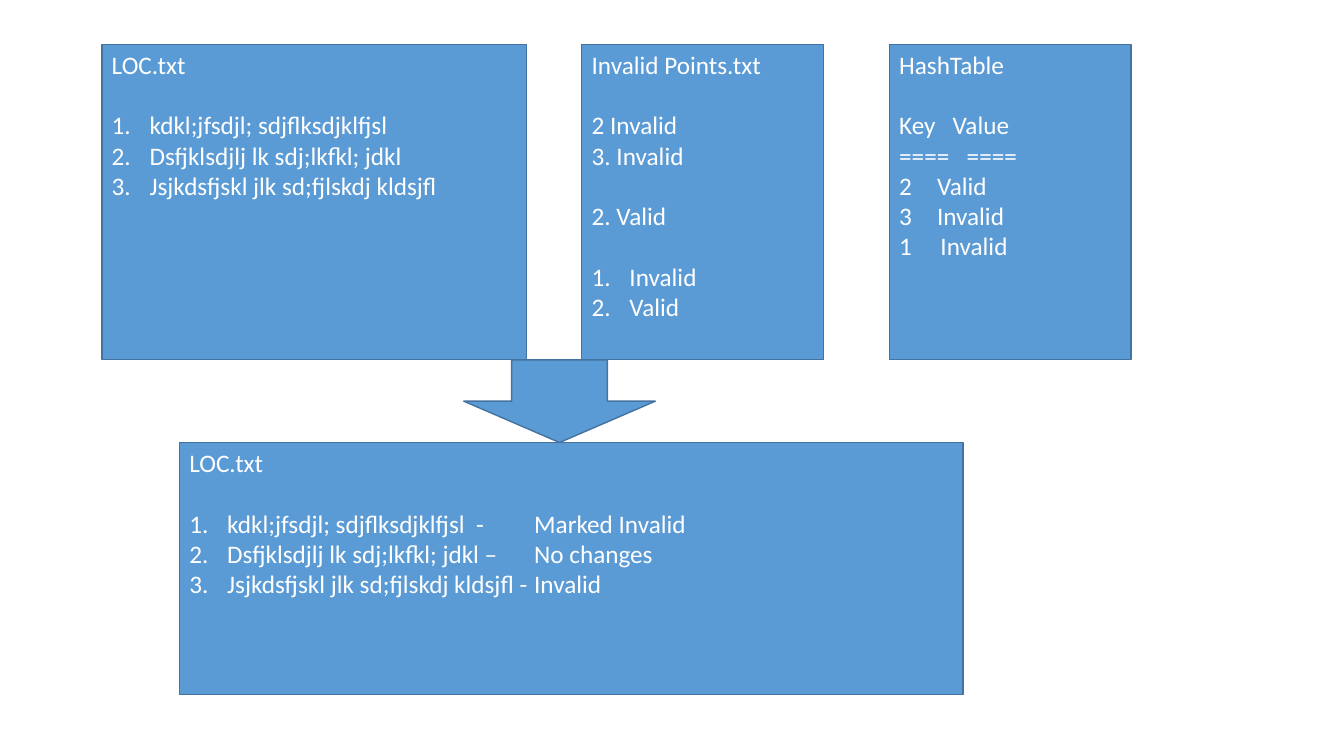
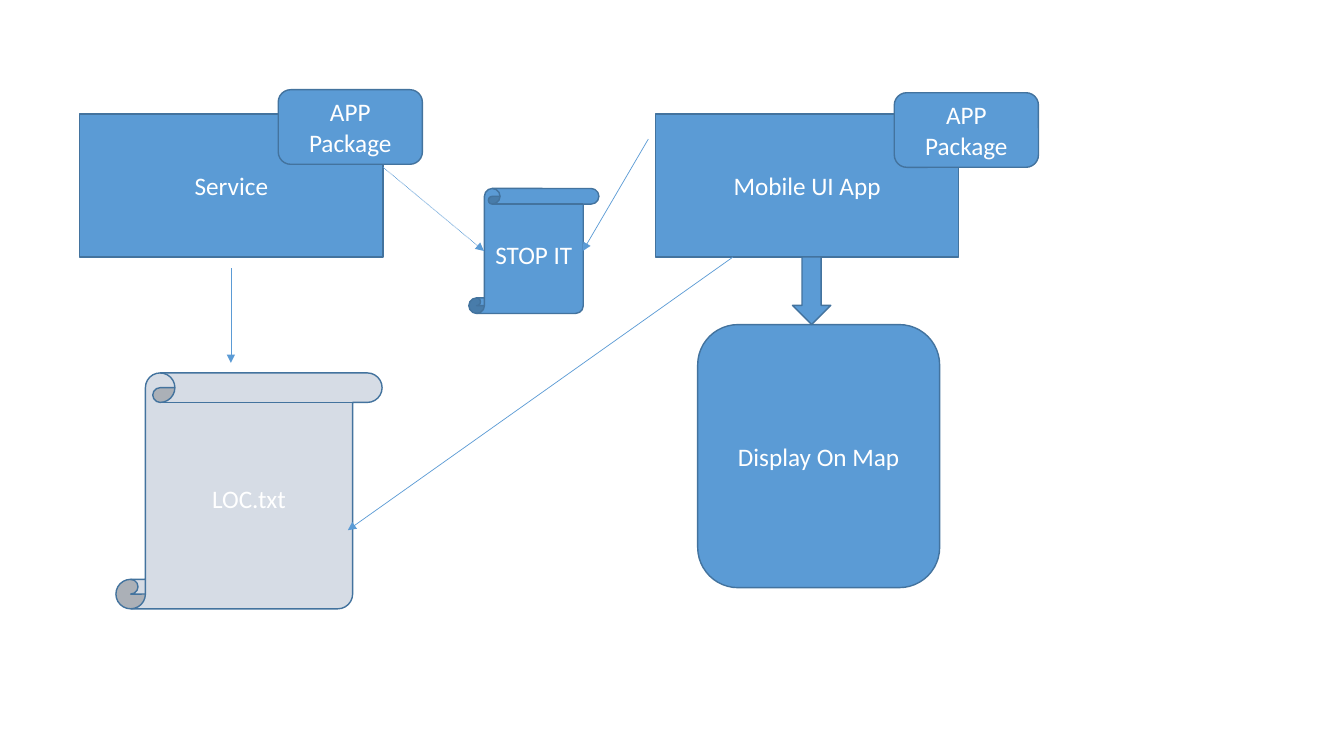
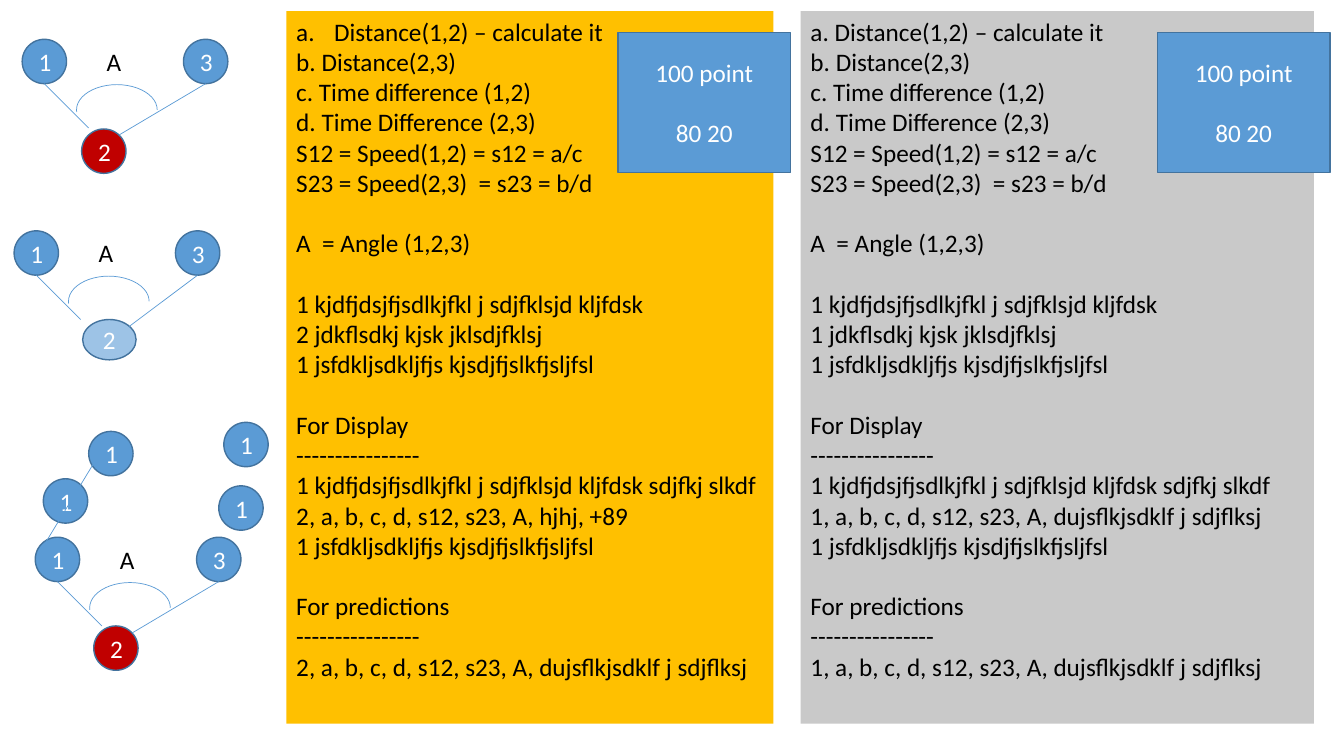
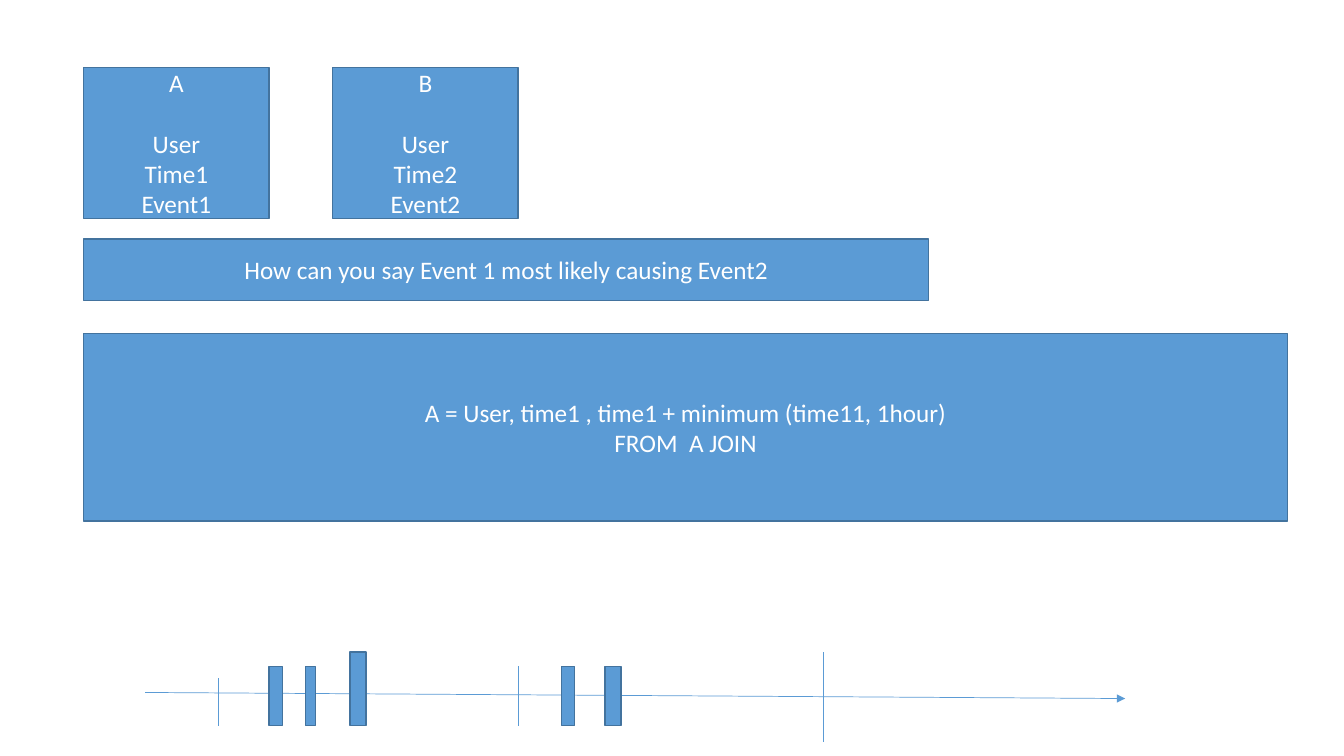
"""Build four sketch slides about location files, services, angles and events."""
from lxml.etree import SubElement
from pptx import Presentation
from pptx.dml.color import RGBColor as RGB
from pptx.enum.dml import MSO_LINE as DASH
from pptx.enum.shapes import MSO_CONNECTOR as CONN, MSO_SHAPE as GEO
from pptx.enum.text import MSO_ANCHOR as ANCHOR, PP_ALIGN as ALIGN
from pptx.oxml.ns import qn
from pptx.util import Inches, Pt

HUE = {"blue": "5B9BD5", "edge": "43739E", "white": "FFFFFF", "black": "000000",
       "mist": "D6DCE5", "red": "C00000", "sky": "9DC3E6", "gold": "FFC000",
       "grey": "C9C9C9"}
FONT = {"name": "Calibri", "size": Pt(18)}
MID = {"vertical_anchor": ANCHOR.MIDDLE, "word_wrap": True}
TOP = {"vertical_anchor": ANCHOR.TOP, "word_wrap": True}
MARK = {"1.": "arabicPeriod", "a.": "alphaLcPeriod", "2": "arabicPlain"}
STEP = Inches(0.1)
HANG = 3.75
LINE = Pt(21.6)


def put(page, kind, box, lines=(), fill="blue", edge="edge", ink="white", mid=True):
    """Add a shape, or a text box if kind is None; an empty line opens a gap."""
    place = [int(v * STEP) for v in box]
    if kind is None:
        shape = page.shapes.add_textbox(*place)
    else:
        shape = page.shapes.add_shape(kind, *place)
        shape.shadow.inherit = False
        if fill:
            shape.fill.solid()
            shape.fill.fore_color.rgb = RGB.from_string(HUE[fill])
        else:
            shape.fill.background()
        if edge:
            shape.line.color.rgb = RGB.from_string(HUE[edge])
            shape.line.width = Pt(1 if fill else 0.5)
        else:
            shape.line.fill.background()
    frame = shape.text_frame
    for key, val in (MID if mid else TOP).items():
        setattr(frame, key, val)
    para, gap = None, False
    for item in lines:
        if not item:
            gap = True
            continue
        text, mark, tab = (item, "", 0) if isinstance(item, str) else item
        para = frame.add_paragraph() if para else frame.paragraphs[0]
        para.alignment = ALIGN.CENTER if mid else ALIGN.LEFT
        para.space_before = LINE if gap else 0
        gap = False
        run = para.add_run()
        run.text = text
        for key, val in FONT.items():
            setattr(run.font, key, val)
        run.font.color.rgb = RGB.from_string(HUE[ink])
        props = para._p.get_or_add_pPr()
        if mark:
            props.set("marL", str(int(HANG * STEP)))
            props.set("indent", str(-int(HANG * STEP)))
            auto = SubElement(props, qn("a:buAutoNum"), type=MARK[mark])
            if mark == "2":
                auto.set("startAt", mark)
        if tab:
            stops = SubElement(props, qn("a:tabLst"))
            SubElement(stops, qn("a:tab"), pos=str(int(tab * STEP)), algn="l")
    return shape


def link(page, ends, head=False, dash=None):
    """Draw a thin straight line, with an arrowhead at its end if asked."""
    line = page.shapes.add_connector(CONN.STRAIGHT, *[int(v * STEP) for v in ends])
    line.line.color.rgb = RGB.from_string(HUE["blue"])
    line.line.width = Pt(0.5)
    if dash:
        line.line.dash_style = dash
    if head:
        SubElement(line.line._get_or_add_ln(), qn("a:tailEnd"), type="triangle")
    SubElement(line._element.spPr, qn("a:effectLst"))


deck = Presentation()
deck.slide_width, deck.slide_height = Inches(13.33), Inches(7.5)
files, flow, angle, event = [deck.slides.add_slide(deck.slide_layouts[6])
                             for _ in range(4)]

rows = [("kdkl;jfsdjl; sdjflksdjklfjsl", " -", "Marked Invalid"),
        ("Dsfjklsdjlj lk sdj;lkfkl; jdkl", "–", "No changes"),
        ("Jsjkdsfjskl jlk sd;fjlskdj kldsjfl", "-", "Invalid")]
before = ["LOC.txt", ""] + [(name, "1.", 0) for name, _, _ in rows]
after = ["LOC.txt", ""] + [(f"{name} {dash}\t{note}", "1.", 34.2)
                           for name, dash, note in rows]
points = ["Invalid Points.txt", "", "2 Invalid", "3. Invalid", "", "2. Valid", "",
          ("Invalid", "1.", 0), ("Valid", "1.", 0)]
table = ["HashTable", "", ("Key\tValue", "", 5.3), ("====\t====", "", 6.7),
         ("Valid", "2", 0), ("Invalid", "2", 0), ("1\tInvalid", "", 4.1)]
for left, wide, lines in [(10.1, 42.1, before), (57.7, 24, points), (88.2, 24, table)]:
    put(files, GEO.RECTANGLE, (left, 4.4, wide, 31.3), lines, mid=False)
put(files, GEO.DOWN_ARROW, (46, 35.7, 19, 8.2))
put(files, GEO.RECTANGLE, (17.8, 43.9, 77.7, 25), after, mid=False)

for left, name in [(7.9, "Service"), (65, "Mobile UI App")]:
    put(flow, GEO.RECTANGLE, (left, 11.3, 30.1, 14.2), [name])
put(flow, GEO.VERTICAL_SCROLL, (11.5, 37, 26.4, 23.4), ["LOC.txt"], "mist")
put(flow, GEO.ROUNDED_RECTANGLE, (69.2, 32.2, 24, 26.1), ["Display On Map"])
put(flow, GEO.DOWN_ARROW, (78.6, 25.5, 3.8, 6.7))
put(flow, GEO.VERTICAL_SCROLL, (46.5, 18.7, 12.9, 12.4), ["STOP IT"])
for ends, dash in [((22.9, 26.6, 22.9, 36), None), ((72.7, 25.5, 34.5, 52.6), None),
                   ((64.3, 13.8, 57.8, 24.9), None),
                   ((38, 16.6, 48, 24.9), DASH.ROUND_DOT)]:
    link(flow, ends, True, dash)
for left, top in [(27.6, 8.9), (88.7, 9.2)]:
    put(flow, GEO.ROUNDED_RECTANGLE, (left, top, 14.3, 7.4), ["APP Package"])

DOT = 4.4
for x, y, low, fill, tip in [
        (2.2, 3.9, (5.9, 8.9, DOT, DOT), "red", 9.6),
        (1.4, 22.9, (6.8, 8.8, 5.3, 4), "sky", 11.4),
        (3.5, 53.3, (5.8, 8.8, DOT, DOT), "red", 9.6)]:
    put(angle, GEO.OVAL, (x, y, DOT, DOT), ["1"])
    put(angle, GEO.OVAL, (x + 16, y, DOT, DOT), ["3"])
    put(angle, GEO.OVAL, (x + low[0], y + low[1], *low[2:]), ["2"], fill)
    link(angle, (x + 18.2, y + DOT, x + tip, y + 9.5))
    link(angle, (x + 2.2, y + DOT, x + 6.6, y + 8.8))
    arc = put(angle, GEO.ARC, (x + 5.4, y + 4.5, 8, 5), fill=None, edge="blue")
    arc.adjustments[0], arc.adjustments[1] = 106.144, 0
    put(angle, None, (x + 7.4, y + 0.2, 4.4, 4), ["A"], ink="black", mid=False)
for left, top in [(4.3, 47.5), (8.8, 42.8), (21.7, 48.2), (22.2, 41.9)]:
    put(angle, GEO.OVAL, (left, top, DOT, DOT), ["1"])
link(angle, (10, 44.8, 4.3, 54.2))

calc = "Distance(1,2) – calculate it"
rule = "-" * 16
long = "dujsflkjsdklf j sdjflksj"
for left, wide, fill, first, num, tail, note in [
        (28.4, 48.3, "gold", (calc, "a.", 0), 2, "hjhj, +89", 61.3),
        (79.4, 50.9, "grey", f"a. {calc}", 1, long, 114.8)]:
    stats = f"{num}, a, b, c, d, s12, s23, A, "
    put(angle, GEO.RECTANGLE, (left, 1.1, wide, 70.7), [
        first, "b. Distance(2,3)", "c. Time difference (1,2)",
        "d. Time Difference (2,3)", "S12 = Speed(1,2) = s12 = a/c",
        "S23 = Speed(2,3)  = s23 = b/d", "", "A  = Angle (1,2,3)", "",
        "1 kjdfjdsjfjsdlkjfkl j sdjfklsjd kljfdsk",
        f"{num} jdkflsdkj kjsk jklsdjfklsj",
        "1 jsfdkljsdkljfjs kjsdjfjslkfjsljfsl", "", "For Display", rule,
        "1 kjdfjdsjfjsdlkjfkl j sdjfklsjd kljfdsk sdjfkj slkdf", stats + tail,
        "1 jsfdkljsdkljfjs kjsdjfjslkfjsljfsl", "", "For predictions", rule,
        stats + long], fill, None, "black", False)
    put(angle, GEO.RECTANGLE, (note, 3.2, 17.1, 13.9), ["100 point", "", "80 20"])

for num, name in enumerate("AB"):
    put(event, GEO.RECTANGLE, (8.3 + 24.7 * num, 6.7, 18.4, 15),
        [name, "", "User", f"Time{num + 1}", f"Event{num + 1}"])
put(event, GEO.RECTANGLE, (8.3, 23.7, 83.8, 6.1),
    ["How can you say Event 1 most likely causing Event2"])
put(event, GEO.RECTANGLE, (8.3, 33.1, 119.4, 18.6),
    ["A = User, time1 , time1 + minimum (time11, 1hour)", "FROM  A JOIN"])
link(event, (14.4, 68.7, 111.6, 69.3), True)
for x, top, end in [(21.7, 67.3, 72), (51.4, 66.1, 72), (81.7, 64.7, 73.6)]:
    link(event, (x, top, x, end))
for x, top, wide in [(26.7, 66.1, 1.3), (30.3, 66.1, 1), (34.7, 64.7, 1.6),
                     (55.7, 66.1, 1.3), (60, 66.1, 1.6)]:
    put(event, GEO.RECTANGLE, (x, top, wide, 72 - top))

deck.save("out.pptx")
